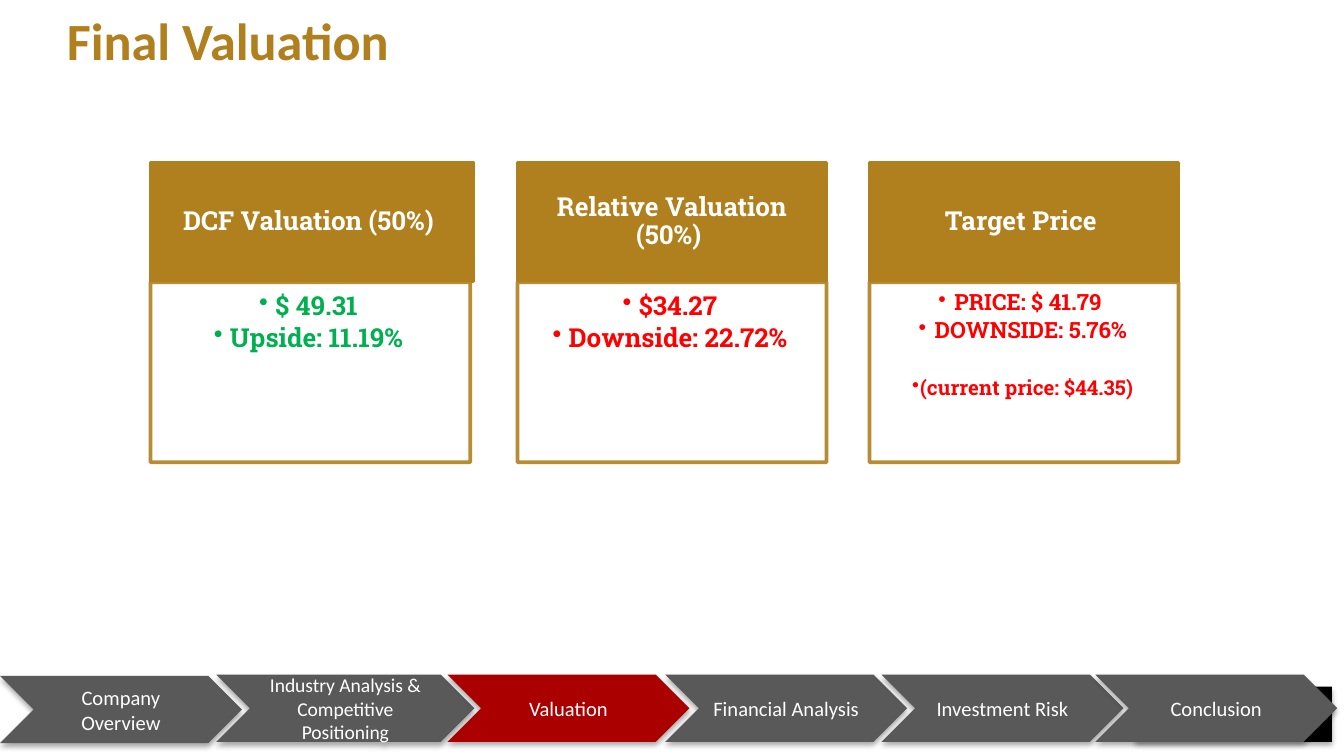
from dataclasses import dataclass

from lxml import etree
from pptx import Presentation
from pptx.dml.color import RGBColor
from pptx.enum import shapes, text
from pptx.oxml import ns
from pptx.util import Inches, Pt

GOLD = RGBColor(0xB1, 0x80, 0x1E)
GREY = RGBColor(0x59, 0x59, 0x59)
CRIMSON = RGBColor(0xAA, 0x00, 0x00)
RED = RGBColor(0xFF, 0x00, 0x00)
GREEN = RGBColor(0x00, 0xB0, 0x50)
WHITE = RGBColor(0xFF, 0xFF, 0xFF)
BLACK = RGBColor(0x00, 0x00, 0x00)
RECT = shapes.MSO_SHAPE.RECTANGLE
CHEVRON = shapes.MSO_SHAPE.CHEVRON
MIDDLE, TOP = text.MSO_ANCHOR.MIDDLE, text.MSO_ANCHOR.TOP
CENTER = text.PP_ALIGN.CENTER


@dataclass
class Step:
    label: str
    left: float
    top: float = 5.02
    width: float = 1.8
    size: float = 11
    fill: RGBColor = GREY


@dataclass
class Bullet:
    label: str
    size: float = 14
    indent: float = 0.12
    before: float = 0


@dataclass
class Card:
    title: str
    left: float
    color: RGBColor
    bullets: list[Bullet]
    head_width: float = 2.3
    body_width: float = 2.3
    insets: tuple = (0.08, 0.08, 0.11, 0.12)


STEPS = [
    Step("Company Overview", 0, top=5.03),
    Step("Industry Analysis & Competitive Positioning", 1.61, width=1.92, size=10.5),
    Step("Valuation", 3.33, fill=CRIMSON),
    Step("Financial Analysis", 4.95),
    Step("Investment Risk", 6.56),
    Step("Conclusion", 8.15),
]
CARDS = [
    Card("DCF Valuation (50%) ", 1.12, GREEN,
         [Bullet("$ 49.31"), Bullet("Upside: 11.19%")], 2.4, 2.38),
    Card("Relative Valuation (50%) ", 3.85, RED,
         [Bullet("$34.27"), Bullet("Downside: 22.72%")]),
    Card("Target Price ", 6.47, RED,
         [Bullet("PRICE: $ 41.79 ", 12), Bullet("DOWNSIDE: 5.76%", 12),
          Bullet("(current price: $44.35)", 11, 0.06, 16.7)],
         insets=(0.07, 0.07, 0.09, 0.1)),
]


def set_all(target, values: dict) -> None:
    for name, value in values.items():
        setattr(target, name, value)


def set_frame(sp, anchor, insets=(0.1, 0.05, 0.1, 0.05)):
    tf = sp.text_frame
    sides = ("margin_left", "margin_top", "margin_right", "margin_bottom")
    set_all(tf, {"word_wrap": True, "vertical_anchor": anchor,
                 **{side: Inches(v) for side, v in zip(sides, insets)}})
    return tf


def write(p, label: str, size: float, color: RGBColor, font: str = "Calibri",
          bold: bool = False, **layout) -> None:
    set_all(p, layout)
    r = p.add_run()
    r.text = label
    set_all(r.font, {"name": font, "size": Pt(size), "bold": bold})
    r.font.color.rgb = color


def add_block(s, kind, left: float, top: float, width: float, height: float,
              fill: RGBColor, line: RGBColor | None = None):
    sp = s.shapes.add_shape(kind, *map(Inches, (left, top, width, height)))
    sp.shadow.inherit = False
    sp.fill.solid()
    sp.fill.fore_color.rgb = fill
    if line is None:
        sp.line.fill.background()
    else:
        sp.line.color.rgb = line
        sp.line.width = Pt(2)
    return sp


def add_shadow(sp) -> None:
    effects = sp.element.spPr.find(ns.qn("a:effectLst"))
    shadow = etree.SubElement(effects, ns.qn("a:outerShdw"), blurRad=str(Pt(3.1)),
                              dist=str(Pt(1.8)), dir="5400000", rotWithShape="0")
    color = etree.SubElement(shadow, ns.qn("a:srgbClr"), val=str(BLACK))
    etree.SubElement(color, ns.qn("a:alpha"), val="35000")


def make_translucent(sp) -> None:
    for color in sp.element.spPr.iter(ns.qn("a:srgbClr")):
        etree.SubElement(color, ns.qn("a:alpha"), val="90000")


def add_bullet(p, indent: float) -> None:
    pPr = p._p.get_or_add_pPr()
    pPr.set("marL", str(Inches(indent)))
    pPr.set("indent", str(-Inches(indent)))
    etree.SubElement(pPr, ns.qn("a:buFontTx"))
    etree.SubElement(pPr, ns.qn("a:buChar"), char="•")


def draw_step(s, step: Step) -> None:
    sp = add_block(s, CHEVRON, step.left, step.top, step.width, 0.5, step.fill)
    add_shadow(sp)
    tf = set_frame(sp, MIDDLE)
    write(tf.paragraphs[0], step.label, step.size, WHITE, alignment=CENTER)


def draw_card(s, card: Card) -> None:
    slab = {"font": "Roboto Slab", "bold": True, "alignment": CENTER, "line_spacing": 0.9}
    head = add_block(s, RECT, card.left, 1.21, card.head_width, 0.88, GOLD, GOLD)
    tf = set_frame(head, MIDDLE, (0.11, 0.06, 0.11, 0.06))
    write(tf.paragraphs[0], card.title, 14, WHITE, **slab)

    body = add_block(s, RECT, card.left, 2.1, card.body_width, 1.34, WHITE, GOLD)
    make_translucent(body)
    tf = set_frame(body, TOP, card.insets)
    for i, bullet in enumerate(card.bullets):
        p = tf.add_paragraph() if i else tf.paragraphs[0]
        add_bullet(p, bullet.indent)
        write(p, bullet.label, bullet.size, card.color, **slab, level=1,
              space_before=Pt(bullet.before), space_after=Pt(0.15 * bullet.size))


def main() -> None:
    prs = Presentation()
    # Widescreen, 16:9
    set_all(prs, {"slide_width": Inches(10), "slide_height": Inches(10) * 9 // 16})
    s = prs.slides.add_slide(prs.slide_layouts[6])

    # Progress bar, with a black block behind the last step
    for step in STEPS[:-1]:
        draw_step(s, step)
    add_shadow(add_block(s, RECT, 8.45, 5.11, 1.46, 0.41, BLACK))
    draw_step(s, STEPS[-1])

    # Valuation cards
    for card in CARDS:
        draw_card(s, card)

    # Title
    title = s.shapes.add_textbox(*map(Inches, (0.4, 0, 9, 0.59)))
    tf = set_frame(title, MIDDLE)
    write(tf.paragraphs[0], "Final Valuation", 28, GOLD, bold=True, space_after=Pt(6))

    prs.save("out.pptx")


if __name__ == "__main__":
    main()
